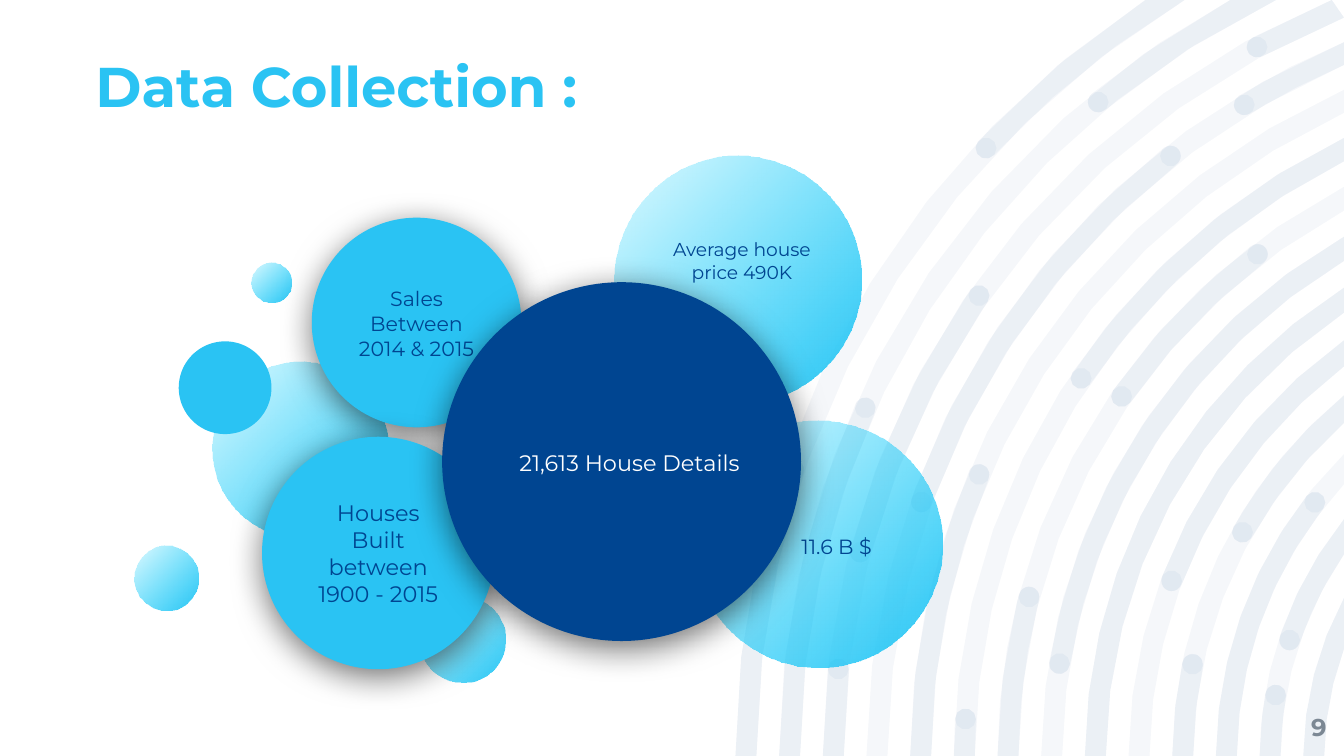
from math import acos, asin, ceil, cos, pi, radians, sin

from lxml.etree import SubElement
from pptx import Presentation
from pptx.dml.color import RGBColor
from pptx.enum.shapes import MSO_SHAPE
from pptx.enum.text import MSO_ANCHOR as Anchor, PP_ALIGN as Align
from pptx.oxml import parse_xml
from pptx.oxml.ns import nsdecls, qn
from pptx.util import Inches, Pt

SKY = RGBColor(0x2A, 0xC3, 0xF3)
NAVY = RGBColor(0x00, 0x45, 0x91)
GREY = RGBColor(0x7C, 0x88, 0x94)
WHITE = RGBColor(0xFF, 0xFF, 0xFF)
FONT = "Montserrat"

CELL = Inches(0.1)
COLUMNS, ROWS = 100, 56.25
CENTER_X, CENTER_Y = 122.3, 56.5
OUTER_RADIUS, RING_STEP, HALF_BAND = 66.8, 3.25, 0.78
ARC_STEP = radians(7)
END = 90
RING_SPANS = [
    [(0, 18.8), (42.9, END)],
    [(0, 24.3), (50.3, END)],
    [(0, 6.4), (14.8, 34.9), (61.5, END)],
    [(19.6, 51.9), (58.6, END)],
    [(0, 23.2)],
    [(0, 3.4), (34.1, END)],
    [(0, 14.8), (34.8, 52.6)],
    [(9.3, END)],
    [(0, END)],
    [(20.7, END)],
    [(0, 11.9), (29.5, END)],
    [(0, 38)],
    [(0, 9.9), (18.6, END)],
    [(0, END)],
]

GRADIENT = f"""<a:gradFill {nsdecls('a')}><a:gsLst>
<a:gs pos="0"><a:srgbClr val="2AC3F3"/></a:gs>
<a:gs pos="100000"><a:srgbClr val="00D0FF"><a:alpha val="12000"/></a:srgbClr></a:gs>
</a:gsLst><a:path path="circle"><a:fillToRect l="100000" t="100000"/></a:path></a:gradFill>"""
SHADOW = f"""<a:outerShdw {nsdecls('a')} blurRad="228600" dist="50800" dir="5400000"
algn="bl" rotWithShape="0"><a:srgbClr val="000000"><a:alpha val="55000"/></a:srgbClr></a:outerShdw>"""


def cells(*lengths):
    """Turn grid lengths into slide units."""
    return [round(length * CELL) for length in lengths]


def ring_radius(ring):
    """Return the middle radius of a ring counted from the outside."""
    return OUTER_RADIUS - ring * RING_STEP


def polar_point(radius, angle):
    """Place a polar point, measured upward from the ring's left."""
    return cells(CENTER_X - radius * cos(angle), CENTER_Y - radius * sin(angle))


def arc(radius, start, end):
    """List the points of an arc, cut at the slide's edges."""
    start = max(start, asin((CENTER_Y - ROWS) / radius))
    end = min(end, acos((CENTER_X - COLUMNS) / radius), asin(min(1, CENTER_Y / radius)))
    count = max(1, ceil((end - start) / ARC_STEP))
    return [polar_point(radius, start + (end - start) * i / count) for i in range(count + 1)]


def cap(radius, angle, first_turn):
    """List the points of a round band end, or none at a slide edge."""
    if not 0 < angle < radians(END):
        return []
    turns = [first_turn + pi * i / 5 for i in range(1, 5)]
    return [polar_point(radius + HALF_BAND * cos(t), angle + HALF_BAND * sin(t) / radius) for t in turns]


def band_outline(ring, start, end):
    """Outline a band between two angles in degrees."""
    middle, start, end = ring_radius(ring), radians(start), radians(end)
    outer = arc(middle + HALF_BAND, start, end)
    inner = arc(middle - HALF_BAND, start, end)[::-1]
    return outer + cap(middle, end, 0) + inner + cap(middle, start, pi)


def dot_outline(ring, angle):
    """Outline the round dot that marks the end of a band."""
    x, y = polar_point(ring_radius(ring), radians(angle))
    radius = HALF_BAND * CELL
    turns = [2 * pi * i / 10 for i in range(10)]
    return [(x + radius * cos(t), y + radius * sin(t)) for t in turns]


def add_tint(slide, outlines):
    """Draw closed outlines as one faint navy layer."""
    builder = slide.shapes.build_freeform(*outlines[0][0])
    for index, outline in enumerate(outlines):
        if index:
            builder.move_to(*outline[0])
        builder.add_line_segments(outline[1:], close=True)
    layer = builder.convert_to_shape()
    layer.shadow.inherit = False
    layer.fill.solid()
    layer.fill.fore_color.rgb = NAVY
    layer.line.fill.background()
    color = layer.element.spPr.find(qn("a:solidFill")).find(qn("a:srgbClr"))
    SubElement(color, qn("a:alpha"), val="4000")


def add_rings(slide):
    """Draw the ringed backdrop: full rings, partial bands and dots."""
    spans = [(ring, *span) for ring, row in enumerate(RING_SPANS) for span in row]
    ends = [(ring, a) for ring, *span in spans for a in span if 0 < a < END]
    add_tint(slide, [band_outline(ring, 0, END) for ring in range(len(RING_SPANS))])
    add_tint(slide, [band_outline(*span) for span in spans])
    add_tint(slide, [dot_outline(*end) for end in ends])


def write(shape, text, size, color, align=Align.CENTER, bold=False, inset=1, anchor=Anchor.MIDDLE):
    """Write one formatted run into a shape."""
    frame = shape.text_frame
    frame.word_wrap = True
    frame.vertical_anchor = anchor
    frame.margin_left = frame.margin_right = frame.margin_top = frame.margin_bottom = cells(inset)[0]
    paragraph = frame.paragraphs[0]
    paragraph.alignment = align
    run = paragraph.add_run()
    run.text = text
    run.font.name, run.font.size, run.font.bold = FONT, Pt(size), bold
    run.font.color.rgb = color
    return paragraph


def add_label(slide, box, text, size, color=NAVY, **style):
    """Add a text box on the grid."""
    write(slide.shapes.add_textbox(*cells(*box)), text, size, color, **style)


def add_bubble(slide, left, top, size, color=None, raised=False):
    """Add a circle, plain or raised, with a gradient when it has no color."""
    bubble = slide.shapes.add_shape(MSO_SHAPE.OVAL, *cells(left, top, size, size))
    bubble.shadow.inherit = False
    bubble.line.fill.background()
    properties = bubble.element.spPr
    if color is None:
        properties.find(qn("a:prstGeom")).addnext(parse_xml(GRADIENT))
    else:
        bubble.fill.solid()
        bubble.fill.fore_color.rgb = color
    if raised:
        properties.find(qn("a:effectLst")).append(parse_xml(SHADOW))
    else:
        bubble.rotation = 250
    return bubble


def add_title(slide, text):
    """Fill and place the title placeholder."""
    title = slide.shapes.title
    title.left, title.top, title.width, title.height = cells(7.1, 4.6, 81.3, 4.3)
    heading = write(title, text, 30, SKY, Align.LEFT, True, 0, Anchor.BOTTOM)
    heading.line_spacing = 0.9


def main():
    """Build the slide and save it."""
    deck = Presentation()
    deck.slide_width, deck.slide_height = cells(COLUMNS, ROWS)
    slide = deck.slides.add_slide(deck.slide_layouts[5])
    add_rings(slide)
    add_title(slide, "Data Collection :")
    add_label(slide, (92.7, 51.9, 6, 4.3), "9", 13, GREY, align=Align.RIGHT, bold=True, inset=0)

    for left, top, size, color in [
        (31.2, 44.4, 6.4, None),
        (10, 40.6, 4.8, None),
        (15.8, 26.9, 13.1, None),
        (13.3, 25.4, 6.9, SKY),
        (18.7, 19.5, 3, None),
        (51.7, 31.3, 18.4, None),
    ]:
        add_bubble(slide, left, top, size, color)

    add_bubble(slide, 23.2, 16.2, 15.6, SKY, raised=True)
    add_label(slide, (25.7, 18.9, 10.6, 10.3), "Sales Between 2014 & 2015", 11)
    add_label(slide, (55.2, 34.2, 14.1, 12.9), "11.6 B $", 11)
    built = add_bubble(slide, 19.5, 32.5, 17.3, SKY, raised=True)
    write(built, "Houses Built between 1900 - 2015", 12, NAVY)
    add_bubble(slide, 45.7, 11.6, 18.4)
    add_bubble(slide, 32.9, 21, 26.7, NAVY, raised=True)
    add_label(slide, (35.1, 28.1, 23.5, 12.7), "21,613 House Details", 12, WHITE)
    add_label(slide, (47.8, 17.2, 14.8, 4.4), "Average house price 490K", 10)
    deck.save("out.pptx")


if __name__ == "__main__":
    main()
